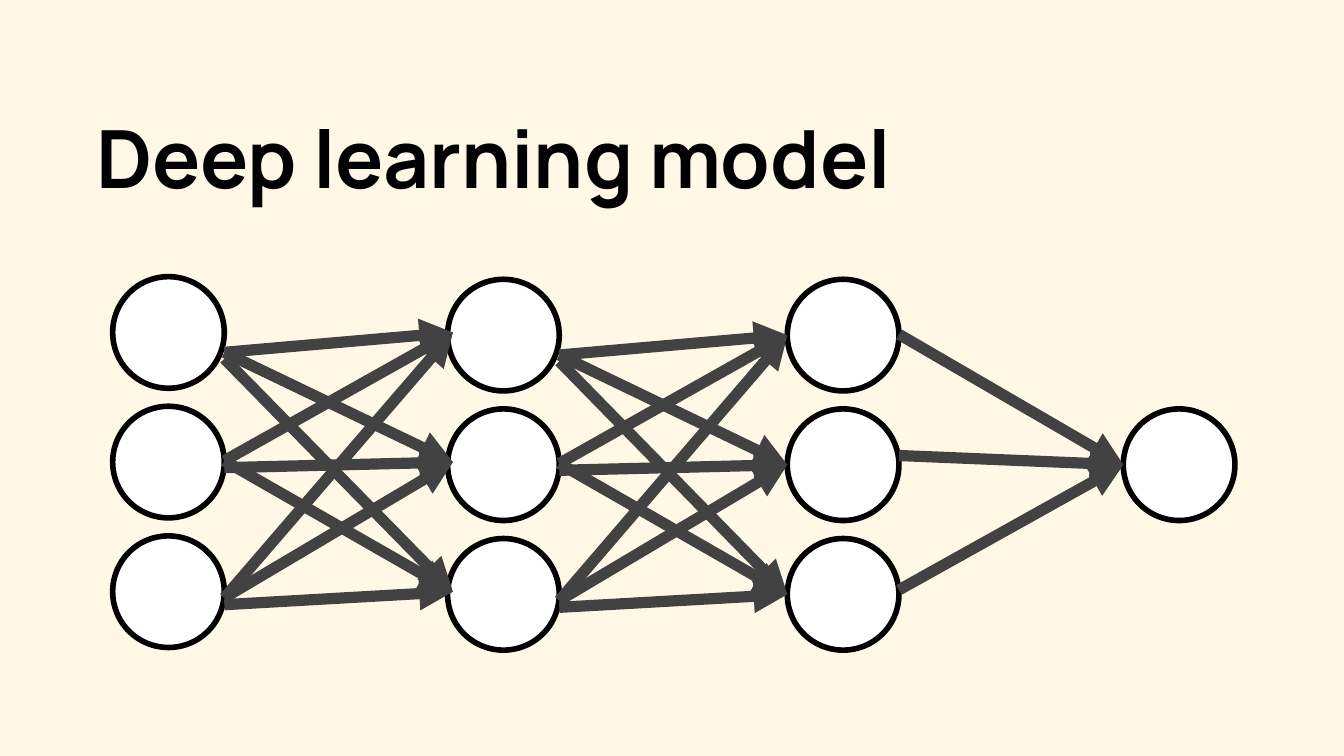
from lxml.etree import SubElement
from pptx import Presentation
from pptx.dml.color import RGBColor
from pptx.enum.shapes import MSO_CONNECTOR, MSO_SHAPE
from pptx.enum.text import MSO_ANCHOR
from pptx.oxml.ns import qn
from pptx.util import Cm, Pt

DIAMETER = 2.11
ROW_STEP = 2.45
NODE_TOP = 5.28
INPUT_LEFT, HIDDEN_LEFT, DEEP_LEFT, OUTPUT_LEFT = 2.13, 8.46, 14.88, 21.23
INPUT_SHIFT = -0.05  # the input layer sits slightly higher

# Start heights of the arrows: one row per source node, one column per target
FULL_STARTS = [
    [6.71, 6.71, 6.83],
    [8.76, 8.89, 8.76],
    [11.35, 11.35, 11.48],
]
OUTPUT_STARTS = [6.32, 8.61, 11.15]


def colour(hex_string):
    return RGBColor.from_string(hex_string)


def node_top(row):
    return NODE_TOP + row * ROW_STEP


def node_middle(row):
    return node_top(row) + DIAMETER / 2


class NetworkSlide:
    font = "Manrope"
    ink = "000000"
    paper = "FFF8E7"
    node_fill = "FFFFFF"
    arrow_colour = "424242"

    def __init__(self, presentation):
        self.slide = presentation.slides.add_slide(presentation.slide_layouts[6])
        background = self.slide.background.fill
        background.solid()
        background.fore_color.rgb = colour(self.paper)

    def title(self, text, left, top, width, height):
        box = self.slide.shapes.add_textbox(Cm(left), Cm(top), Cm(width), Cm(height))
        frame = box.text_frame
        frame.word_wrap = True
        frame.vertical_anchor = MSO_ANCHOR.BOTTOM
        frame.margin_left = frame.margin_right = Cm(0.25)
        frame.margin_top = frame.margin_bottom = Cm(0.25)
        frame.text = text
        heading = frame.paragraphs[0]
        heading.space_after = Pt(10)
        font = heading.runs[0].font
        font.name = self.font
        font.size = Pt(43)
        font.bold = True
        font.color.rgb = colour(self.ink)

    def node(self, left, top):
        circle = self.slide.shapes.add_shape(
            MSO_SHAPE.OVAL, Cm(left), Cm(top), Cm(DIAMETER), Cm(DIAMETER))
        circle.shadow.inherit = False
        circle.fill.solid()
        circle.fill.fore_color.rgb = colour(self.node_fill)
        circle.line.color.rgb = colour(self.ink)
        circle.line.width = Pt(3)

    def layer(self, left, shift=0):
        for row in range(3):
            self.node(left, node_top(row) + shift)

    def arrow(self, x1, y1, x2, y2):
        link = self.slide.shapes.add_connector(
            MSO_CONNECTOR.STRAIGHT, Cm(x1), Cm(y1), Cm(x2), Cm(y2))
        link.line.color.rgb = colour(self.arrow_colour)
        link.line.width = Pt(6)
        SubElement(link.line._get_or_add_ln(), qn("a:tailEnd"), type="triangle")
        SubElement(link._element.spPr, qn("a:effectLst"))

    def full_links(self, start_x, end_x, shift=0):
        """Join every node of one layer to every node of the next."""
        for starts in FULL_STARTS:
            for target, start_y in enumerate(starts):
                self.arrow(start_x, start_y + shift, end_x, node_middle(target) + shift)


def main():
    presentation = Presentation()
    presentation.slide_width = Cm(25.4)
    presentation.slide_height = Cm(14.29)

    network = NetworkSlide(presentation)
    network.title("Deep learning model", 1.57, -3.33, 21.11, 7.44)

    network.layer(HIDDEN_LEFT)
    network.layer(DEEP_LEFT)
    network.node(OUTPUT_LEFT, node_top(1))
    for start_y in OUTPUT_STARTS:
        network.arrow(DEEP_LEFT + DIAMETER, start_y, OUTPUT_LEFT, node_middle(1))
    network.full_links(HIDDEN_LEFT + DIAMETER, DEEP_LEFT)

    network.layer(INPUT_LEFT, INPUT_SHIFT)
    network.full_links(INPUT_LEFT + DIAMETER, HIDDEN_LEFT + 0.1, INPUT_SHIFT)

    presentation.save("out.pptx")


if __name__ == "__main__":
    main()
